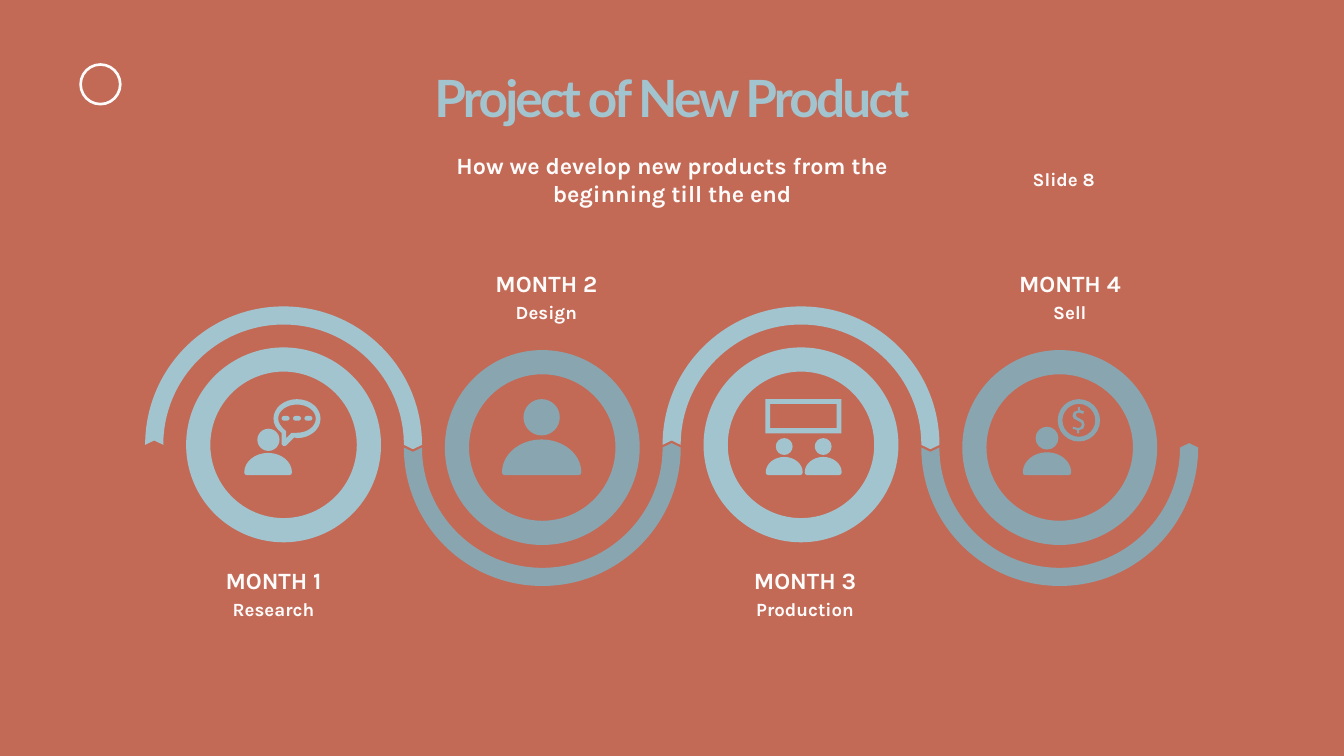
from dataclasses import dataclass
from math import ceil, cos, radians, sin, tan

from lxml.etree import SubElement
from pptx import Presentation
from pptx.dml.color import RGBColor
from pptx.enum.shapes import MSO_SHAPE
from pptx.enum.text import MSO_ANCHOR, MSO_AUTO_SIZE, PP_ALIGN
from pptx.oxml.ns import qn
from pptx.util import Inches, Pt

BACKGROUND = "C36A57"
LIGHT = "A2C4CF"
DARK = "89A5AF"
WHITE = "FEFCFB"

FIRST_X, STEP_X = 4.22, 3.85
OUTER, INNER, NOTCH = 2.06, 1.79, 0.065
RING = 2.9
ICON_BOTTOM = 7.07

Point = tuple[float, float]
Contour = list[Point]


@dataclass(frozen=True)
class Month:
    name: str
    topic: str
    label_x: float
    name_y: float
    topic_y: float
    center_y: float
    direction: int
    color: str


@dataclass(frozen=True)
class Person:
    x: float
    head_top: float
    head: float
    body_top: float
    body_width: float


MONTHS = [
    Month("MONTH 1", "Research", 4.07, 8.37, 8.85, 6.62, -1, LIGHT),
    Month("MONTH 2", "Design", 8.13, 3.96, 4.43, 6.66, 1, DARK),
    Month("MONTH 3", "Production", 11.98, 8.37, 8.85, 6.62, -1, LIGHT),
    Month("MONTH 4", "Sell", 15.92, 3.96, 4.43, 6.66, 1, DARK),
]

RESEARCHER = Person(3.99, 6.38, 0.33, 6.74, 0.71)
DESIGNER = Person(8.06, 5.94, 0.54, 6.54, 1.18)
TEAM = [Person(x, 6.52, 0.25, 6.8, 0.55) for x in (11.67, 12.25)]
SELLER = Person(15.58, 6.35, 0.34, 6.73, 0.72)

DOLLAR = [
    (16.07, 6.23), (16.03, 6.21), (16.01, 6.18), (16.02, 6.15), (16.06, 6.14),
    (16.12, 6.16), (16.13, 6.12), (16.07, 6.1), (16.07, 6.06), (16.04, 6.06),
    (16.04, 6.11), (15.98, 6.13), (15.96, 6.19), (15.98, 6.23), (16.04, 6.26),
    (16.09, 6.29), (16.1, 6.32), (16.08, 6.36), (16.04, 6.37), (15.97, 6.35),
    (15.96, 6.38), (16.03, 6.4), (16.03, 6.45), (16.06, 6.45), (16.06, 6.4),
    (16.12, 6.38), (16.14, 6.32), (16.12, 6.26),
]


def paint(fill, color: str) -> None:
    fill.solid()
    fill.fore_color.rgb = RGBColor.from_string(color)


def finish(shape, color: str) -> None:
    shape.shadow.inherit = False
    paint(shape.fill, color)
    shape.line.fill.background()


def preset(slide, kind, x: float, y: float, size: float, color: str):
    shape = slide.shapes.add_shape(kind, Inches(x), Inches(y), Inches(size), Inches(size))
    finish(shape, color)
    return shape


def donut(slide, x: float, y: float, size: float, band: float, color: str) -> None:
    preset(slide, MSO_SHAPE.DONUT, x, y, size, color).adjustments[0] = band / size


def outline(slide, contours: list[Contour], color: str) -> None:
    lengths = [[(Inches(x), Inches(y)) for x, y in contour] for contour in contours]
    builder = slide.shapes.build_freeform(*lengths[0][0], scale=1.0)
    for number, contour in enumerate(lengths):
        if number:
            builder.move_to(*contour[0])
        builder.add_line_segments(contour[1:], close=True)
    shape = builder.convert_to_shape()
    route = shape._element.find(".//" + qn("a:path"))
    steps = route.findall(qn("a:lnTo"))
    for curve, second, third in zip(steps[::3], steps[1::3], steps[2::3]):
        curve.tag = qn("a:cubicBezTo")
        curve.extend([second[0], third[0]])
        route.remove(second)
        route.remove(third)
    finish(shape, color)


def lines(*points: Point) -> Contour:
    return [point for point in points for _ in range(3)]


def polygon(points: list[Point]) -> Contour:
    return points[:1] + lines(*points[1:])


def arc(x: float, y: float, rx: float, ry: float, start: float, end: float) -> Contour:
    count = ceil(abs(end - start) / 90)
    step = radians((end - start) / count)
    pull = 4 / 3 * tan(step / 4)
    points = [(x + rx * cos(radians(start)), y + ry * sin(radians(start)))]
    for number in range(count):
        a = radians(start) + number * step
        b = a + step
        points += [
            (x + rx * (cos(a) - pull * sin(a)), y + ry * (sin(a) + pull * cos(a))),
            (x + rx * (cos(b) + pull * sin(b)), y + ry * (sin(b) - pull * cos(b))),
            (x + rx * cos(b), y + ry * sin(b)),
        ]
    return points


def joined(first: Contour, second: Contour) -> Contour:
    return first + lines(second[0]) + second[1:]


def rectangle(left: float, top: float, right: float, bottom: float) -> Contour:
    return polygon([(left, top), (right, top), (right, bottom), (left, bottom)])


def head(person: Person) -> Contour:
    radius = person.head / 2
    return arc(person.x, person.head_top + radius, radius, radius, 0, 360)


def body(person: Person) -> Contour:
    half, shoulder = person.body_width / 2, ICON_BOTTOM - 0.04
    return arc(person.x, shoulder, half, shoulder - person.body_top, 180, 360) + lines(
        (person.x + half - 0.01, ICON_BOTTOM - 0.01),
        (person.x + half - 0.04, ICON_BOTTOM),
        (person.x - half + 0.04, ICON_BOTTOM),
        (person.x - half + 0.01, ICON_BOTTOM - 0.01),
    )


def speech_dot(x: float) -> Contour:
    radius, y = 0.035, 6.225
    return joined(arc(x + 0.035, y, radius, radius, 90, 270),
                  arc(x + 0.085, y, radius, radius, 270, 450))


def write(shape, text: str, size: float, color: str = WHITE, font: str = "Karla",
          align=PP_ALIGN.CENTER, spacing: float = 0) -> None:
    frame = shape.text_frame
    frame.word_wrap = True
    frame.auto_size = MSO_AUTO_SIZE.NONE
    frame.vertical_anchor = MSO_ANCHOR.TOP
    paragraph = frame.paragraphs[0]
    paragraph.alignment = align
    paragraph.space_before = Pt(0)
    properties = paragraph._p.get_or_add_pPr()
    properties.set("marL", "0")
    properties.set("indent", "0")
    SubElement(properties, qn("a:buNone"))
    run = paragraph.add_run()
    run.text = text
    run.font.name = font
    run.font.size = Pt(size)
    run.font.bold = True
    run.font.color.rgb = RGBColor.from_string(color)
    if spacing:
        run._r.get_or_add_rPr().set("spc", str(round(spacing * 100)))


def place(shape, x: float, y: float, width: float, height: float):
    shape.left, shape.top = Inches(x), Inches(y)
    shape.width, shape.height = Inches(width), Inches(height)
    return shape


def text_box(slide, x: float, y: float, width: float):
    return slide.shapes.add_textbox(Inches(x), Inches(y), Inches(width), Inches(0.4))


def draw_month(slide, month: Month, x: float) -> None:
    y, turn = month.center_y, month.direction
    far = 180 - 180 * turn
    middle = (OUTER + INNER) / 2
    inner = arc(x, y, INNER, INNER, far, 180)
    band = arc(x, y, OUTER, OUTER, 180, far) + lines((x + middle, y - turn * NOTCH))
    band = joined(band, inner) + lines((x - middle, y + turn * NOTCH))
    outline(slide, [band], month.color)
    donut(slide, x - RING / 2, y - RING / 2, RING, 0.36, month.color)
    write(text_box(slide, month.label_x - 1.64, month.name_y, 3.28), month.name, 25)
    write(text_box(slide, month.label_x - 1.54, month.topic_y, 3.08), month.topic, 20)


def draw_icons(slide) -> None:
    preset(slide, MSO_SHAPE.OVAL, 3.83, RESEARCHER.head_top, RESEARCHER.head, LIGHT)
    dots = [speech_dot(4.19 + 0.17 * number) for number in range(3)]
    outline(slide, [body(RESEARCHER), *dots], LIGHT)
    rim = arc(4.42, 6.23, 0.35, 0.29, 180, 450) + lines(
        (4.38, 6.51), (4.26, 6.63), (4.22, 6.64), (4.19, 6.61), (4.19, 6.44))
    rim += [(4.11, 6.38), (4.07, 6.31), (4.07, 6.23)]
    hole = arc(4.42, 6.23, 0.28, 0.21, 180, 450) + lines((4.34, 6.44), (4.26, 6.52), (4.26, 6.42))
    hole += [(4.18, 6.35), (4.14, 6.29), (4.14, 6.23)]
    outline(slide, [rim, hole], LIGHT)

    for person in (DESIGNER, SELLER):
        outline(slide, [head(person), body(person)], DARK)
    board = [rectangle(11.39, 5.94, 12.52, 6.45), rectangle(11.46, 6.01, 12.45, 6.37)]
    outline(slide, board + [part(person) for person in TEAM for part in (head, body)], LIGHT)
    donut(slide, 15.74, 5.94, 0.63, 0.07, DARK)
    outline(slide, [polygon(DOLLAR)], DARK)


def main() -> None:
    presentation = Presentation()
    presentation.slide_width, presentation.slide_height = Inches(20), Inches(11.25)
    slide = presentation.slides.add_slide(presentation.slide_layouts[1])
    paint(slide.background.fill, BACKGROUND)
    title = place(slide.shapes.title, 5.14, 0.94, 9.72, 1.06)
    write(title, "Project of New Product", 55, LIGHT, "Lato", spacing=-3)
    subtitle = place(slide.placeholders[1], 6.64, 2.2, 6.72, 0.4)
    write(subtitle, "How we develop new products from the beginning till the end", 25)
    write(text_box(slide, 15.27, 2.45, 1.13), "Slide 8", 20, align=PP_ALIGN.LEFT)
    donut(slide, 1.18, 0.94, 0.63, 0.04, WHITE)
    for position, month in enumerate(MONTHS):
        draw_month(slide, month, FIRST_X + STEP_X * position)
    draw_icons(slide)
    presentation.save("out.pptx")


if __name__ == "__main__":
    main()
